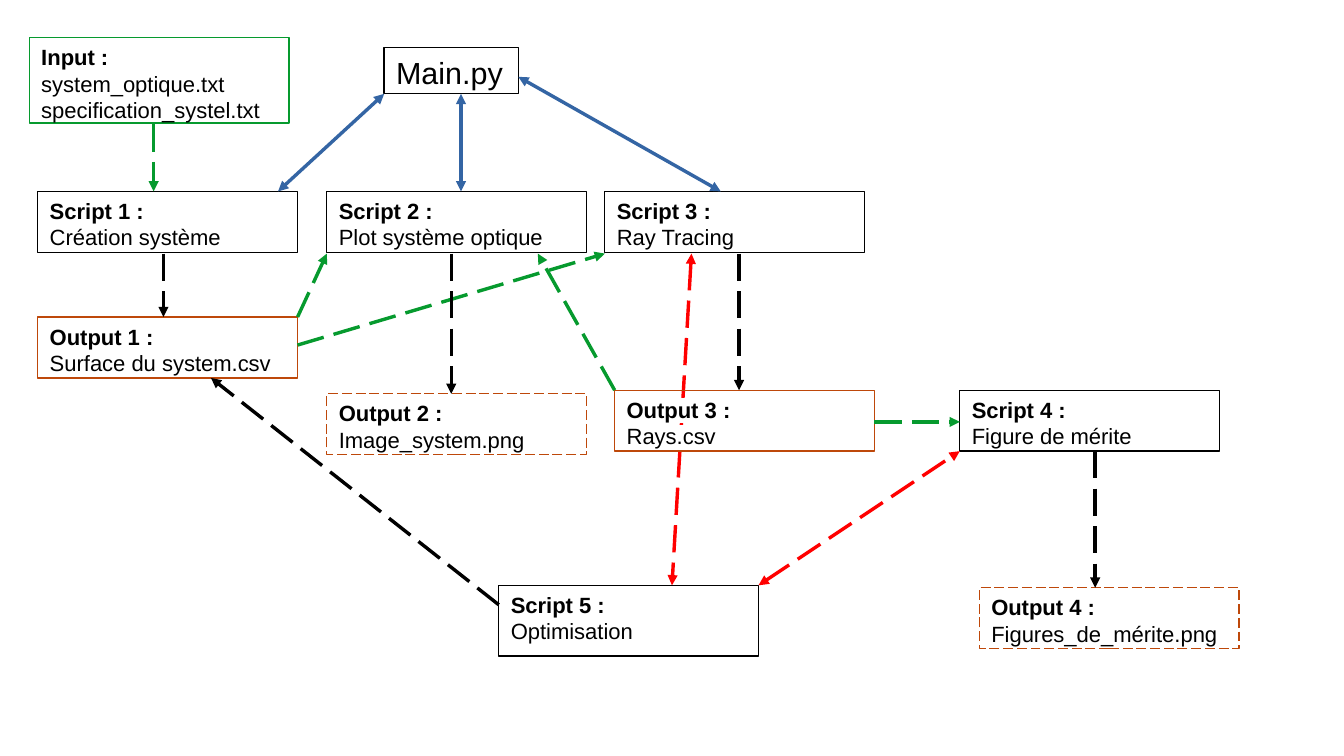
from lxml import etree
from pptx import Presentation
from pptx.dml.color import RGBColor
from pptx.enum.dml import MSO_LINE
from pptx.enum.shapes import MSO_CONNECTOR, MSO_SHAPE
from pptx.enum.text import MSO_ANCHOR, PP_ALIGN
from pptx.oxml.ns import qn
from pptx.util import Inches, Pt

RECT = MSO_SHAPE.RECTANGLE
STRAIGHT = MSO_CONNECTOR.STRAIGHT
DASH = MSO_LINE.LONG_DASH
TOP = MSO_ANCHOR.TOP
LEFT = PP_ALIGN.LEFT

BLACK, WHITE = "000000", "FFFFFF"
GREEN, BROWN, RED, BLUE = "069A2E", "BE480A", "FF0000", "3465A4"
WIDE, TALL = 2.13, 0.5

# Steps: left, top, height, border, dashed, title, lines
STEPS = [
    (0.24, 0.31, 0.7, GREEN, False, "Input :",
     ["system_optique.txt", "specification_systel.txt"]),
    (0.31, 1.57, TALL, BLACK, False, "Script 1 :", ["Création système"]),
    (4.96, 1.57, TALL, BLACK, False, "Script 3 :", ["Ray Tracing"]),
    (2.68, 1.57, TALL, BLACK, False, "Script 2 :", ["Plot système optique"]),
    (0.31, 2.6, TALL, BROWN, False, "Output 1 :", ["Surface du system.csv"]),
    (2.68, 3.23, TALL, BROWN, True, "Output 2 :", ["Image_system.png"]),
    (5.04, 3.2, TALL, BROWN, False, "Output 3 :", ["Rays.csv"]),
    (7.87, 3.2, TALL, BLACK, False, "Script 4 :", ["Figure de mérite"]),
    (4.09, 4.8, 0.58, BLACK, False, "Script 5 :", ["Optimisation"]),
    (8.03, 4.82, TALL, BROWN, True, "Output 4 :", ["Figures_de_mérite.png"]),
]

# One-way dashed flows: colour, start, end
FLOWS = [
    (GREEN, (1.26, 1.02), (1.26, 1.57)),
    (BLACK, (1.34, 2.08), (1.34, 2.6)),
    (GREEN, (2.44, 2.6), (2.68, 2.08)),
    (GREEN, (2.44, 2.83), (4.96, 2.08)),
    (BLACK, (3.7, 2.08), (3.7, 3.23)),
    (BLACK, (6.06, 2.08), (6.06, 3.2)),
    (BLACK, (8.98, 3.7), (8.98, 4.82)),
    (GREEN, (5.04, 3.2), (4.41, 2.08)),
    (GREEN, (7.17, 3.46), (7.87, 3.46)),
    (BLACK, (4.09, 4.96), (1.73, 3.1)),
]

# Two-way calls from the main program: start, end
CALLS = [
    ((2.28, 1.57), (3.15, 0.77)),
    ((3.78, 1.57), (3.78, 0.77)),
    ((5.91, 1.57), (4.25, 0.63)),
]


def color(code):
    return RGBColor.from_string(code)


def stroke(line, code, dashed):
    line.color.rgb = color(code)
    line.width = Pt(0)
    if dashed:
        line.dash_style = DASH


def add_box(slide, left, top, width, height, code, dashed, texts, size, bold):
    """Draw a box; the first line is bold if asked."""
    box = slide.shapes.add_shape(
        RECT, Inches(left), Inches(top), Inches(width), Inches(height))
    box.shadow.inherit = False
    box.fill.background()
    stroke(box.line, code, dashed)
    frame = box.text_frame
    frame.word_wrap = True
    frame.vertical_anchor = TOP
    for i, text in enumerate(texts):
        para = frame.paragraphs[0] if i == 0 else frame.add_paragraph()
        para.text = text
        para.alignment = LEFT
        font = para.font
        font.name = "Arial"
        font.size = Pt(size)
        font.bold = bold and i == 0
        font.color.rgb = color(BLACK)
    return box


def mark(box, code):
    """Highlight all text of a box."""
    for para in box.text_frame.paragraphs:
        for run in para.runs:
            props = run._r.get_or_add_rPr()
            light = etree.SubElement(props, qn("a:highlight"))
            etree.SubElement(light, qn("a:srgbClr"), val=code)


def add_arrow(slide, code, start, end, dashed=True, both=False):
    ends = [Inches(v) for v in (*start, *end)]
    arrow = slide.shapes.add_connector(STRAIGHT, *ends)
    stroke(arrow.line, code, dashed)
    props = arrow.line._get_or_add_ln()
    for tag in ("a:headEnd", "a:tailEnd") if both else ("a:tailEnd",):
        etree.SubElement(props, qn(tag), type="triangle")
    etree.SubElement(arrow._element.spPr, qn("a:effectLst"))


def main():
    deck = Presentation()
    deck.slide_width, deck.slide_height = Inches(11.02), Inches(6.2)
    slide = deck.slides.add_slide(deck.slide_layouts[6])

    # Link that runs behind the boxes
    add_arrow(slide, RED, (5.67, 2.08), (5.51, 4.8), both=True)

    # Boxes
    for left, top, height, code, dashed, title, lines in STEPS:
        box = add_box(slide, left, top, WIDE, height, code, dashed,
                      [title, *lines], 13, True)
        if title.startswith("Output 3"):
            mark(box, WHITE)
    add_box(slide, 3.15, 0.39, 1.1, 0.38, BLACK, False, ["Main.py"], 18, False)

    # Arrows
    for code, start, end in FLOWS:
        add_arrow(slide, code, start, end)
    add_arrow(slide, RED, (6.22, 4.8), (7.87, 3.7), both=True)
    for start, end in CALLS:
        add_arrow(slide, BLUE, start, end, dashed=False, both=True)

    deck.save("out.pptx")


if __name__ == "__main__":
    main()
